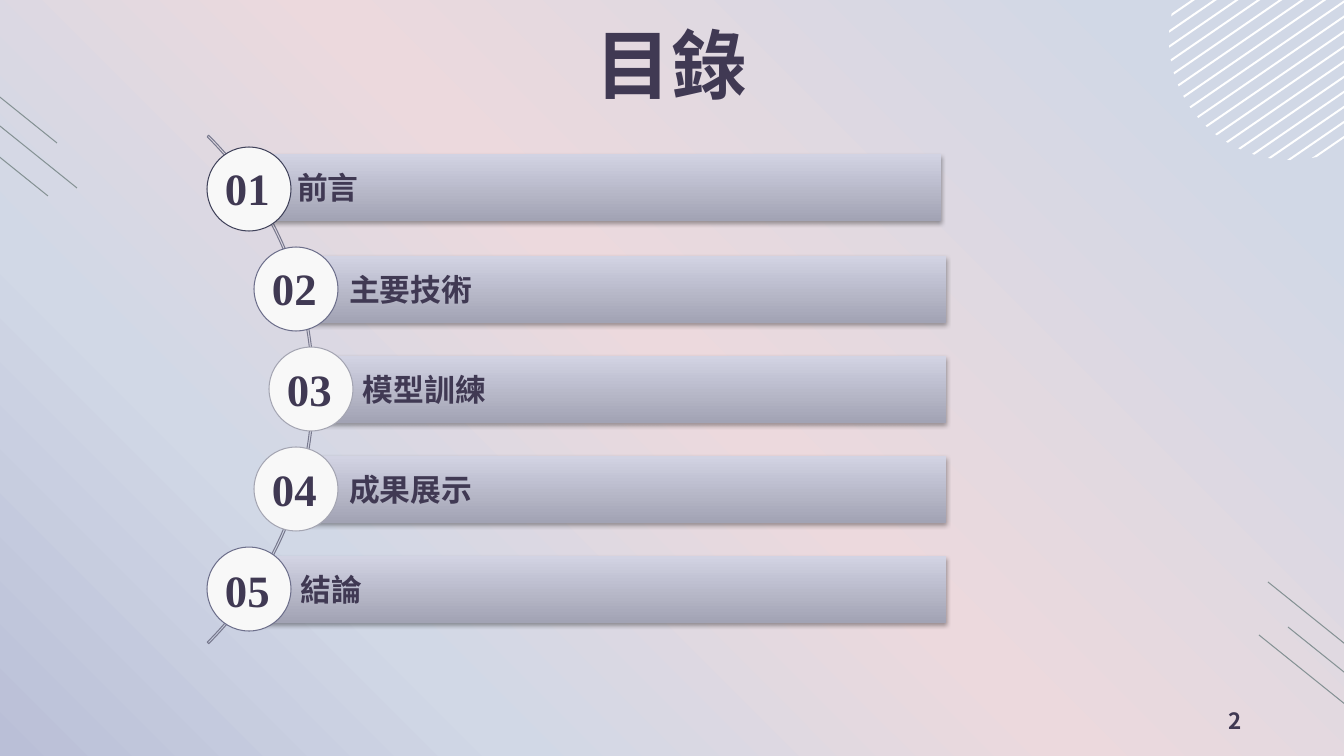
from math import cos, radians, sin, sqrt

from lxml.etree import SubElement
from pptx import Presentation
from pptx.dml.color import RGBColor
from pptx.enum.shapes import MSO_CONNECTOR as Connector, MSO_SHAPE as Shape
from pptx.enum.text import MSO_ANCHOR as Anchor, PP_ALIGN as Align
from pptx.oxml.ns import qn
from pptx.util import Pt

EMU_PER_PX = 12192000 / 1344
SANS, SERIF = "Noto Sans CJK SC", "Times New Roman"
INK = RGBColor(0x40, 0x39, 0x53)
WHITE = RGBColor(0xFF, 0xFF, 0xFF)
DISC = RGBColor(0xF8, 0xF8, 0xF8)
DASH = RGBColor(0x85, 0x92, 0x94)
ARC = RGBColor(0x78, 0x79, 0x8E)
BAR_DARK = RGBColor(0xA2, 0xA3, 0xB4)
BAR_LIGHT = RGBColor(0xD2, 0xD3, 0xE3)
RING_DARK = RGBColor(0x40, 0x42, 0x5A)
RING_MID = RGBColor(0x6D, 0x6F, 0x8B)
RING_PALE = RGBColor(0xA4, 0xA5, 0xB2)
SKY = RGBColor(0xD1, 0xD8, 0xE6)
ROSE = RGBColor(0xEC, 0xD9, 0xDD)
LILAC = RGBColor(0xBA, 0xBF, 0xD7)


def px(*values):
    return [round(value * EMU_PER_PX) for value in values]


def write(shape, text, size, font=SANS, align=Align.LEFT, anchor=Anchor.TOP):
    frame = shape.text_frame
    frame.word_wrap = True
    frame.vertical_anchor = anchor
    para = frame.paragraphs[0]
    para.alignment = align
    span = para.add_run()
    span.text = text
    span.font.size, span.font.bold, span.font.name = Pt(size), True, font
    span.font.color.rgb = INK
    SubElement(span.font._element, qn("a:ea"), typeface=font)


deck = Presentation()
deck.slide_width, deck.slide_height = px(1344, 756)
page = deck.slides.add_slide(deck.slide_layouts[6])
shapes = page.shapes

# Background gradient
backdrop = page.background.fill
backdrop.gradient()
backdrop.gradient_angle = 225
stops = page._element.find(".//" + qn("a:gsLst"))
stops.clear()
for position, color in [(0, SKY), (11, SKY), (49, ROSE), (75, SKY), (100, LILAC)]:
    stop = SubElement(stops, qn("a:gs"), pos=str(position * 1000))
    SubElement(stop, qn("a:srgbClr"), val=str(color))

# Hatched circle: parallel chords at equal distances
center_x, center_y, radius, thickness = 1290, 39, 121, 2
across, up = cos(radians(34.5)), sin(radians(34.5))
for stripe in range(17):
    corners = []
    offset = -88 + 12.4 * stripe
    for distance, sides in [(offset, (1, -1)), (offset + thickness, (-1, 1))]:
        half = sqrt(radius ** 2 - distance ** 2)
        for side in sides:
            corners.append(px(center_x + distance * up + side * half * across,
                              center_y + distance * across - side * half * up))
    builder = shapes.build_freeform(*corners[0])
    builder.add_line_segments(corners[1:], close=True)
    chord = builder.convert_to_shape()
    chord.shadow.inherit = False
    chord.fill.solid()
    chord.fill.fore_color.rgb = WHITE
    chord.line.fill.background()

# Slanted lines: the same three at the left and right edges
for shift_x, shift_y in [(0, 0), (1318, 525)]:
    for x, y in [(-30, 102), (-59, 110), (-50, 57)]:
        left, top = x + shift_x, y + shift_y
        slant = shapes.add_connector(Connector.STRAIGHT,
                                     *px(left, top, left + 107, top + 86))
        slant.line.color.rgb = DASH
        slant.line.width = Pt(0.75)
        SubElement(slant._element.spPr, qn("a:effectLst"))

# Arc behind the contents
arc = shapes.add_shape(Shape.BLOCK_ARC, *px(-405, 30, 719, 719))
arc.shadow.inherit = False
arc.adjustments[0], arc.adjustments[1], arc.adjustments[2] = 189, 27, 0.003
arc.fill.background()
arc.line.color.rgb = ARC
arc.line.width = Pt(0.75)

# Contents: label, bar left, top and right, disc left, ring colour
chapters = [
    ("前言", 244, 154, 941, 207, RING_DARK),
    ("主要技術", 296, 256, 946, 254, RING_MID),
    ("模型訓練", 310, 356, 946, 269, RING_PALE),
    ("成果展示", 296, 456, 946, 254, RING_PALE),
    ("結論", 248, 556, 946, 207, RING_MID),
]
for index, (label, left, top, right, disc_left, ring) in enumerate(chapters):
    bar = shapes.add_shape(Shape.RECTANGLE, *px(left, top, right - left, 67))
    bar.fill.gradient()
    bar.fill.gradient_angle = 90
    for stop, color in zip(bar.fill.gradient_stops, (BAR_DARK, BAR_LIGHT)):
        stop.color.rgb = color
    bar.line.fill.background()
    effects = SubElement(bar._element.spPr, qn("a:effectLst"))
    shadow = SubElement(effects, qn("a:outerShdw"), blurRad="40000", dist="23000",
                        dir="5400000", rotWithShape="0")
    black = SubElement(shadow, qn("a:srgbClr"), val="000000")
    SubElement(black, qn("a:alpha"), val="35000")
    frame = bar.text_frame
    (frame.margin_left, frame.margin_top,
     frame.margin_right, frame.margin_bottom) = px(53, 6, 6, 6)
    write(bar, label, 22, anchor=Anchor.MIDDLE)

    disc = shapes.add_shape(Shape.OVAL, *px(disc_left, 147 + 100 * index, 84, 84))
    disc.shadow.inherit = False
    disc.fill.solid()
    disc.fill.fore_color.rgb = DISC
    disc.line.color.rgb = ring
    disc.line.width = Pt(0.75)

    number = shapes.add_textbox(*px(disc_left + 8, 156 + 201 * index // 2, 68, 64))
    write(number, f"{index + 1:02}", 32, font=SERIF)

# Title and page number
title = shapes.add_textbox(*px(533, 13, 277, 102))
write(title, "目錄", 54, align=Align.CENTER)
page_number = shapes.add_textbox(*px(950, 701, 302, 40))
write(page_number, "2", 16, align=Align.RIGHT, anchor=Anchor.MIDDLE)

deck.save("out.pptx")
